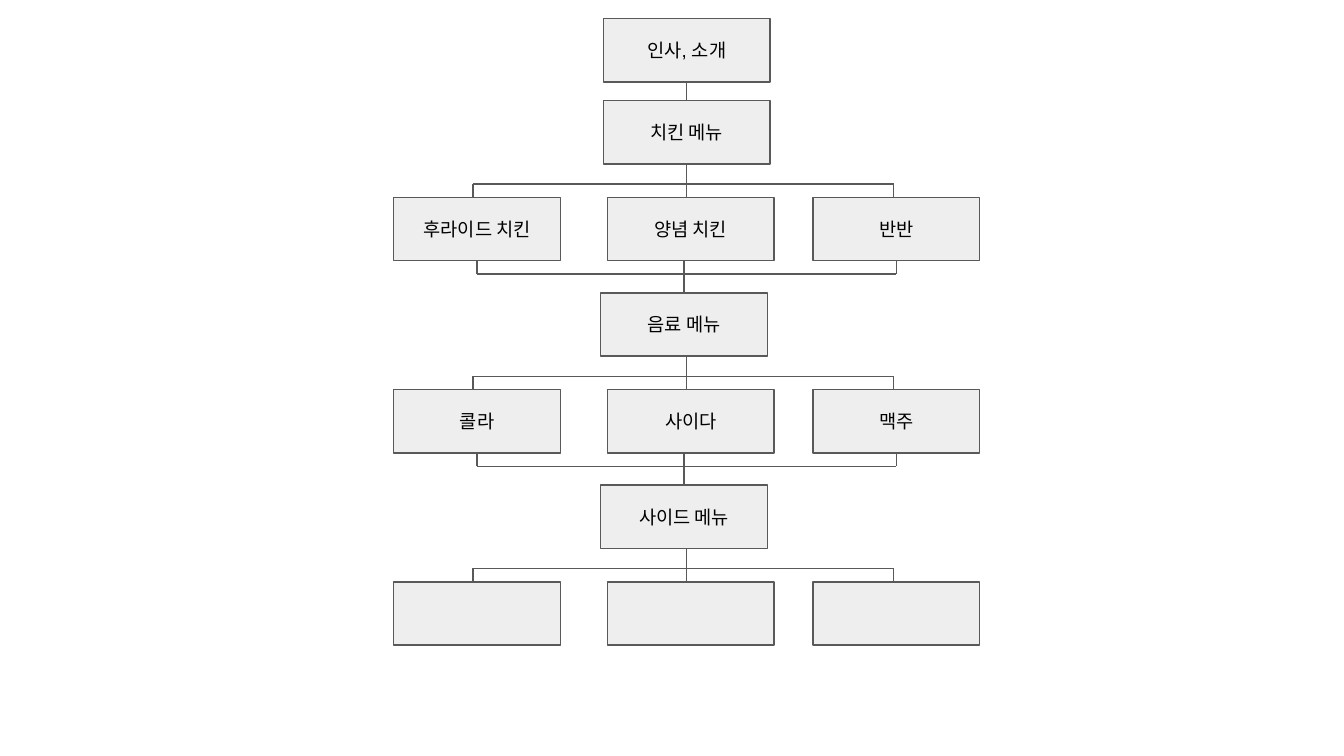
from dataclasses import dataclass

from pptx import Presentation
from pptx.dml.color import RGBColor
from pptx.enum.shapes import MSO_CONNECTOR as Connector, MSO_SHAPE as Shape
from pptx.enum.text import MSO_ANCHOR as Anchor, PP_ALIGN as Align
from pptx.oxml.ns import qn
from pptx.util import Inches, Pt


@dataclass(frozen=True)
class Theme:
    font: str = "Arial"
    text_size: Pt = Pt(10)
    line_width: Pt = Pt(0.75)
    text: RGBColor = RGBColor(0x00, 0x00, 0x00)
    line: RGBColor = RGBColor(0x59, 0x59, 0x59)
    box: RGBColor = RGBColor(0xEE, 0xEE, 0xEE)


BOTTOM, TOP = 2, 0
SLIDE_WIDTH = 10
SLIDE_HEIGHT = SLIDE_WIDTH * 9 / 16
BOX_WIDTH, BOX_HEIGHT = 1.24, 0.47
LEVEL_PITCH = 1.43
INTRO_TOP, FIRST_HEAD_TOP = 0.14, 0.75
OPTIONS_OFFSET = 0.72   # head top to option row top
SPLIT_OFFSET = 0.62     # head top to the bar above its options
MERGE_OFFSET = 1.29     # head top to the bar below its options
OPTION_LEFTS = (2.93, 4.52, 6.05)
SPLIT_XS = (3.52, 5.11, 6.65)
MERGE_XS = (3.55, 5.09, 6.67)

# Head text, head left edge, option texts
LEVELS = (
    ("치킨 메뉴", 4.49, ("후라이드 치킨", "양념 치킨", "반반")),
    ("음료 메뉴", 4.47, ("콜라", "사이다", "맥주")),
    ("사이드 메뉴", 4.47, ("", "", "")),
)


def apply_format(target, values):
    for name, value in values.items():
        setattr(target, name, value)


def is_centred(x, left):
    return abs(left + BOX_WIDTH / 2 - x) < 0.005


class FlowSlide:
    def __init__(self, presentation, theme):
        self.theme = theme
        self.slide = presentation.slides.add_slide(presentation.slide_layouts[6])

    def style_line(self, line):
        line.color.rgb = self.theme.line
        line.width = self.theme.line_width

    def box(self, text, left, top):
        shape = self.slide.shapes.add_shape(
            Shape.RECTANGLE, Inches(left), Inches(top),
            Inches(BOX_WIDTH), Inches(BOX_HEIGHT))
        shape.shadow.inherit = False
        shape.fill.solid()
        shape.fill.fore_color.rgb = self.theme.box
        self.style_line(shape.line)
        if text:
            self.label(shape.text_frame, text)
        return shape

    def label(self, frame, text):
        margin = Inches(0.1)
        apply_format(frame, {
            "word_wrap": True, "vertical_anchor": Anchor.MIDDLE,
            "margin_left": margin, "margin_right": margin,
            "margin_top": margin, "margin_bottom": margin})
        paragraph = frame.paragraphs[0]
        paragraph.alignment = Align.CENTER
        run = paragraph.add_run()
        run.text = text
        apply_format(run.font, {"name": self.theme.font, "size": self.theme.text_size})
        run.font.color.rgb = self.theme.text

    def line(self, start, end, above=None, below=None):
        """Draw a line, joined to the box above its start or below its end."""
        connector = self.slide.shapes.add_connector(
            Connector.STRAIGHT, *map(Inches, start + end))
        properties = connector._element.spPr
        self.style_line(connector.line)
        properties.append(properties.makeelement(qn("a:effectLst"), {}))
        if above is not None:
            connector.begin_connect(above, BOTTOM)
        if below is not None:
            connector.end_connect(below, TOP)

    def split(self, head, head_left, head_top):
        """Lead from a head down to the bar over its options."""
        bar = head_top + SPLIT_OFFSET
        middle = SPLIT_XS[1]
        joined = head if is_centred(middle, head_left) else None
        self.line((middle, head_top + BOX_HEIGHT), (middle, bar), above=joined)
        self.line((SPLIT_XS[0], bar), (SPLIT_XS[-1], bar))
        for x in SPLIT_XS:
            self.line((x, bar), (x, head_top + OPTIONS_OFFSET))

    def merge(self, options, head_top, next_head):
        """Gather the options in a bar and lead on to the next head."""
        bar = head_top + MERGE_OFFSET
        options_bottom = head_top + OPTIONS_OFFSET + BOX_HEIGHT
        for option, left, x in zip(options, OPTION_LEFTS, MERGE_XS):
            joined = option if is_centred(x, left) else None
            self.line((x, options_bottom), (x, bar), above=joined)
        self.line((MERGE_XS[0], bar), (MERGE_XS[-1], bar))
        middle = MERGE_XS[1]
        self.line((middle, bar), (middle, head_top + LEVEL_PITCH), below=next_head)


def main():
    presentation = Presentation()
    presentation.slide_width = Inches(SLIDE_WIDTH)
    presentation.slide_height = Inches(SLIDE_HEIGHT)
    flow = FlowSlide(presentation, Theme())

    intro_left = LEVELS[0][1]
    intro = flow.box("인사, 소개", intro_left, INTRO_TOP)
    options = []
    for level, (title, left, texts) in enumerate(LEVELS):
        top = FIRST_HEAD_TOP + level * LEVEL_PITCH
        head = flow.box(title, left, top)
        if level == 0:
            x = intro_left + BOX_WIDTH / 2
            flow.line((x, INTRO_TOP + BOX_HEIGHT), (x, top), above=intro, below=head)
        else:
            flow.merge(options, top - LEVEL_PITCH, head)
        options = [flow.box(text, option_left, top + OPTIONS_OFFSET)
                   for text, option_left in zip(texts, OPTION_LEFTS)]
        flow.split(head, left, top)

    presentation.save("out.pptx")


if __name__ == "__main__":
    main()
